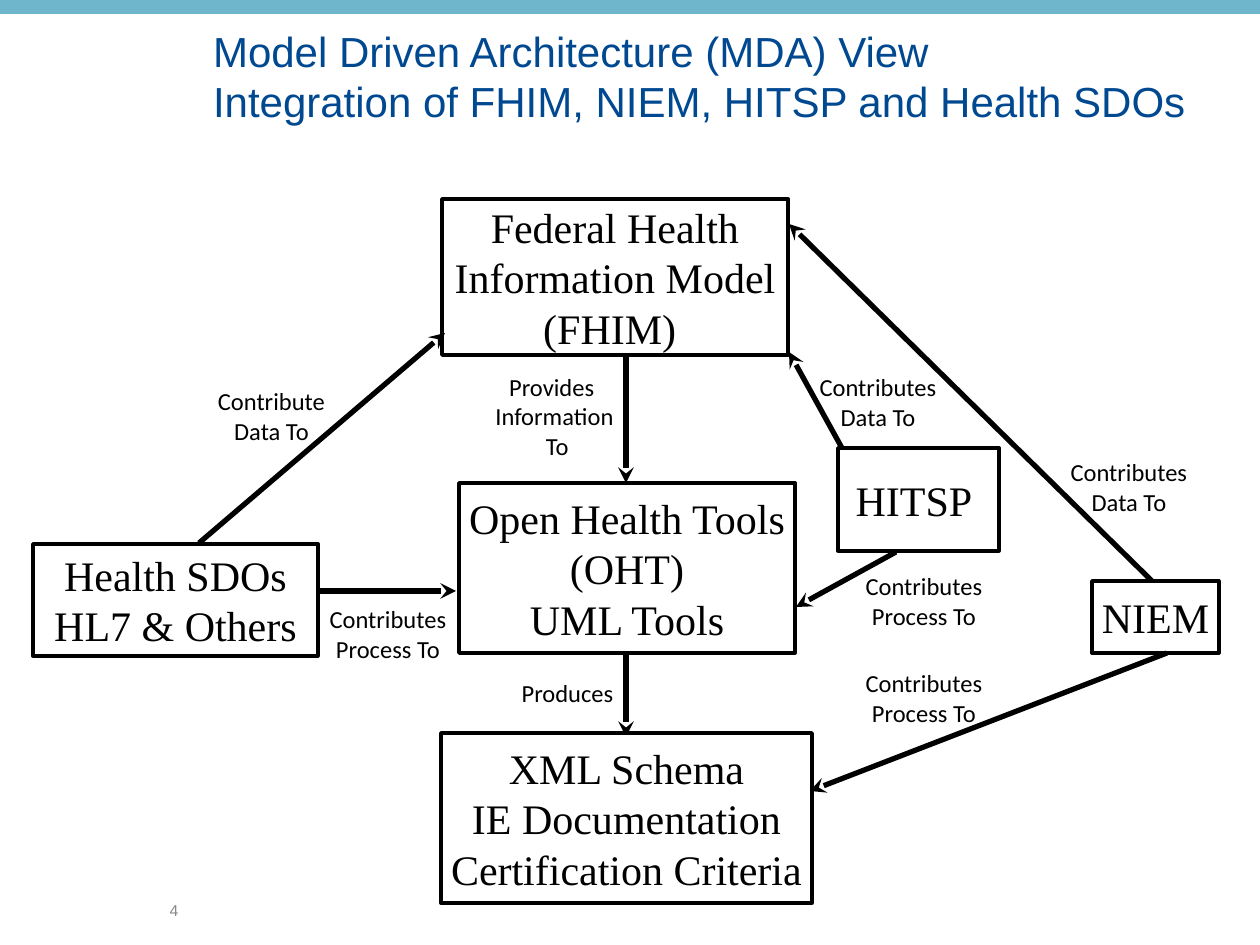
from lxml.etree import SubElement
from pptx import Presentation
from pptx.dml.color import RGBColor
from pptx.enum.shapes import MSO_CONNECTOR, MSO_SHAPE
from pptx.enum.text import MSO_ANCHOR, MSO_AUTO_SIZE, PP_ALIGN
from pptx.oxml.ns import qn
from pptx.util import Pt

SCALE = 914400 / 126
BLACK, WHITE, BLUE, TEAL, GREY = "000000", "FFFFFF", "004990", "6FB5CC", "898989"

BOXES = [
    ("Federal Health Information Model (FHIM) ", 442, 199, 346, 156),
    ("Health SDOs\nHL7 & Others", 33, 544, 285, 112),
    ("NIEM", 1092, 581, 127, 72),
    ("HITSP ", 838, 448, 161, 103),
    ("Open Health Tools (OHT)\nUML Tools", 459, 483, 336, 170),
]
GOAL = ("XML Schema\nIE Documentation\nCertification Criteria", 441, 733, 371, 170)

ARROWS = [
    (789, 224, 1152, 581),
    (626, 483, 626, 354),
    (456, 591, 316, 591),
    (626, 737, 626, 654),
    (810, 791, 1167, 653),
    (445, 333, 199, 543),
    (789, 352, 842, 448),
    (796, 607, 896, 552),
]

DATA = "Contributes\nData To"
PROCESS = "Contributes\nProcess To"
LABELS = [
    (PROCESS, 320, 604, 136, 59),
    ("Provides \nInformation\n To", 485, 372, 139, 88),
    ("Produces", 514, 678, 107, 29),
    ("Contribute\nData To", 210, 386, 123, 59),
    (DATA, 1061, 457, 136, 59),
    (PROCESS, 856, 668, 136, 59),
    (DATA, 810, 372, 136, 59),
    (PROCESS, 856, 571, 136, 59),
]


def px(num):
    return round(num * SCALE)


def paint(color, code):
    color.rgb = RGBColor.from_string(code)


def put(item, vals):
    for name, val in vals.items():
        setattr(item, name, val)


def write(shape, text, face, size, code, align=PP_ALIGN.CENTER, **vals):
    frame = shape.text_frame
    edges = {"margin_" + side: 0 for side in ("left", "top", "right", "bottom")}
    put(frame, {"text": text, "vertical_anchor": MSO_ANCHOR.MIDDLE,
                "word_wrap": True, **edges, **vals})
    for para in frame.paragraphs:
        para.alignment = align
        put(para.font, {"name": face, "size": Pt(size)})
        paint(para.font.color, code)


def add_rect(slide, fill, *area):
    shape = slide.shapes.add_shape(MSO_SHAPE.RECTANGLE, *map(px, area))
    shape.shadow.inherit = False
    shape.fill.solid()
    paint(shape.fill.fore_color, fill)
    return shape


def add_box(slide, text, *area):
    shape = add_rect(slide, WHITE, *area)
    shape.line.width = Pt(2)
    paint(shape.line.color, BLACK)
    write(shape, text, "Times New Roman", 24, BLACK)


def add_arrow(slide, *ends):
    link = slide.shapes.add_connector(MSO_CONNECTOR.STRAIGHT, *map(px, ends))
    link.line.width = Pt(3)
    paint(link.line.color, BLACK)
    props = link._element.spPr
    SubElement(props.find(qn("a:ln")), qn("a:headEnd"), type="stealth")
    SubElement(props, qn("a:effectLst"))


def add_label(slide, text, *area, face="Calibri", size=14, code=BLACK):
    shape = slide.shapes.add_textbox(*map(px, area))
    write(shape, text, face, size, code, word_wrap=False)


def set_title(slide):
    title = slide.shapes.title
    put(title, {"left": px(208), "top": px(25), "width": px(1047), "height": px(141)})
    text = ("Model Driven Architecture (MDA) View\n"
            "Integration of FHIM, NIEM, HITSP and Health SDOs")
    write(title, text, "Arial", 24, BLUE, PP_ALIGN.LEFT,
          vertical_anchor=MSO_ANCHOR.TOP, auto_size=MSO_AUTO_SIZE.NONE,
          margin_left=px(5), margin_right=px(5))


def main():
    deck = Presentation()
    put(deck, {"slide_width": px(1260), "slide_height": px(945)})
    slide = deck.slides.add_slide(deck.slide_layouts[5])
    set_title(slide)
    add_rect(slide, TEAL, 0, 0, 1260, 14).line.fill.background()
    for box in BOXES:
        add_box(slide, *box)
    for ends in ARROWS:
        add_arrow(slide, *ends)
    add_box(slide, *GOAL)
    for label in LABELS:
        add_label(slide, *label)
    add_label(slide, "4", 157, 895, 34, 31, face="Arial", size=9, code=GREY)
    deck.save("out.pptx")


if __name__ == "__main__":
    main()
